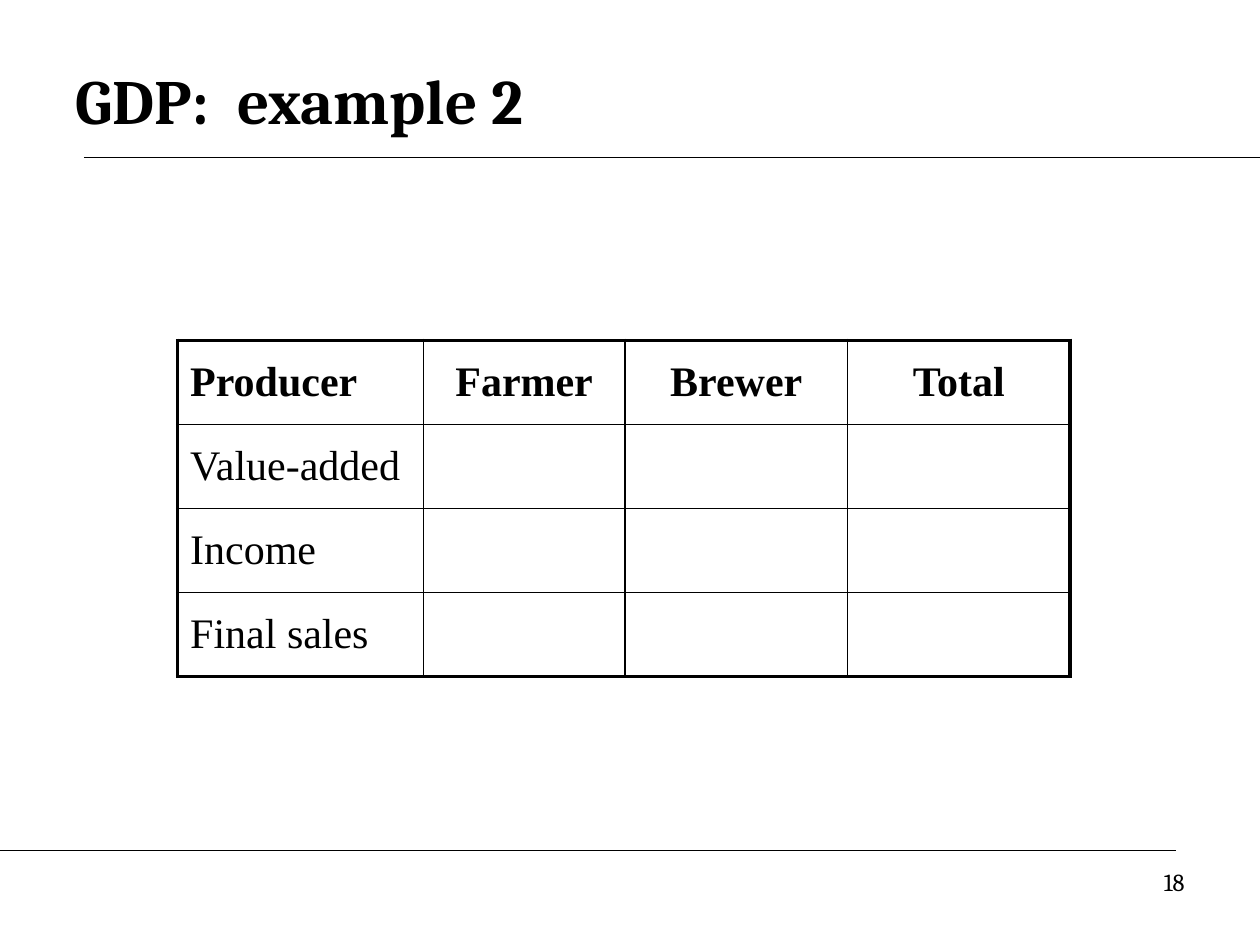
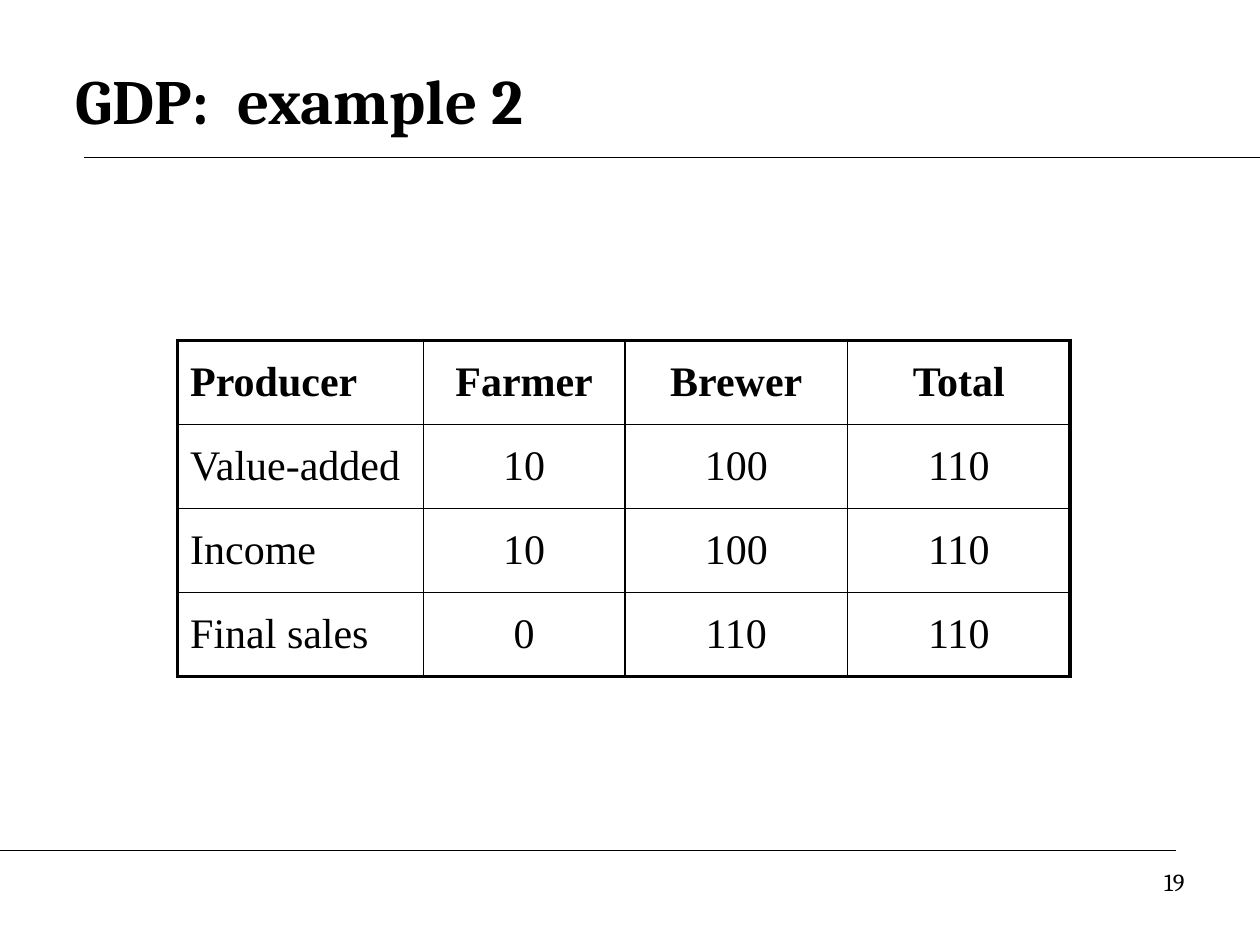
from dataclasses import dataclass

import lxml.etree
import pptx
import pptx.dml.color
import pptx.enum.shapes
import pptx.enum.text
import pptx.oxml.ns
import pptx.util

Pt = pptx.util.Pt
Align = pptx.enum.text.PP_ALIGN
Anchor = pptx.enum.text.MSO_ANCHOR
qn = pptx.oxml.ns.qn


@dataclass(frozen=True)
class Theme:
    ink: str = "000000"
    paper: str = "FFFFFF"
    heading_font: str = "Cambria"
    table_font: str = "Times New Roman"
    title_size: float = 36
    table_size: float = 24
    number_size: float = 14
    rule_width: float = 0.75
    inner_border: float = 1
    outer_border: float = 2.25


SLIDE_WIDTH, SLIDE_HEIGHT = 720, 540
RULE_MARGIN = 48
COLUMN_WIDTHS = [140.4, 115.2, 127.2, 127.2]
ROW_HEIGHT = 48
HEADER = ["Producer", "Farmer", "Brewer", "Total"]
MEASURES = ["Value-added", "Income", "Final sales"]
BLANK_VALUES = [[""] * 3] * 3
ANSWERS = [["10", "100", "110"], ["10", "100", "110"], ["0", "110", "110"]]


class Deck:
    def __init__(self, theme):
        self.theme = theme
        self.presentation = pptx.Presentation()
        self.presentation.slide_width = Pt(SLIDE_WIDTH)
        self.presentation.slide_height = Pt(SLIDE_HEIGHT)
        self.slide = None

    def color(self, value):
        return pptx.dml.color.RGBColor.from_string(value)

    def add_slide(self, title, number):
        layout = self.presentation.slide_layouts.get_by_name("Title Only")
        self.slide = self.presentation.slides.add_slide(layout)
        fill = self.slide.background.fill
        fill.solid()
        fill.fore_color.rgb = self.color(self.theme.paper)
        # Rules run off opposite edges of the slide
        self.rule(RULE_MARGIN, SLIDE_WIDTH, 90)
        self.rule(0, SLIDE_WIDTH - RULE_MARGIN, 486)
        self.title(title)
        self.page_number(number)

    def add_text(self, paragraph, text, font, size, align=Align.LEFT, bold=False):
        paragraph.alignment = align
        run = paragraph.add_run()
        run.text = text
        run.font.name = font
        run.font.size = Pt(size)
        run.font.bold = bold
        run.font.color.rgb = self.color(self.theme.ink)

    def rule(self, left, right, y):
        line = self.slide.shapes.add_connector(
            pptx.enum.shapes.MSO_CONNECTOR.STRAIGHT, Pt(left), Pt(y), Pt(right), Pt(y))
        line.line.color.rgb = self.color(self.theme.ink)
        line.line.width = Pt(self.theme.rule_width)
        lxml.etree.SubElement(line._element.spPr, qn("a:effectLst"))

    def title(self, text):
        shape = self.slide.shapes.title
        shape.left, shape.top, shape.width, shape.height = Pt(36), Pt(24), Pt(648), Pt(66)
        frame = shape.text_frame
        frame.auto_size = pptx.enum.text.MSO_AUTO_SIZE.NONE
        frame.vertical_anchor = Anchor.MIDDLE
        self.add_text(frame.paragraphs[0], text, self.theme.heading_font,
                      self.theme.title_size, bold=True)

    def page_number(self, number):
        box = self.slide.shapes.add_textbox(Pt(516), Pt(492), Pt(168), Pt(37.5))
        box.text_frame.word_wrap = True
        self.add_text(box.text_frame.paragraphs[0], str(number), self.theme.heading_font,
                      self.theme.number_size, Align.RIGHT)

    def borders(self, cell, widths):
        properties = cell._tc.get_or_add_tcPr()
        for index, (side, width) in enumerate(widths.items()):
            line = lxml.etree.Element(qn(f"a:ln{side}"), w=str(int(Pt(width))))
            fill = lxml.etree.SubElement(line, qn("a:solidFill"))
            lxml.etree.SubElement(fill, qn("a:srgbClr"), val=self.theme.ink)
            properties.insert(index, line)

    def table(self, rows, left, top):
        row_count, column_count = len(rows), len(COLUMN_WIDTHS)
        table = self.slide.shapes.add_table(
            row_count, column_count, Pt(left), Pt(top),
            Pt(sum(COLUMN_WIDTHS)), Pt(ROW_HEIGHT * row_count)).table
        table.first_row = table.horz_banding = False
        for column, width in zip(table.columns, COLUMN_WIDTHS):
            column.width = Pt(width)
        for r, row in enumerate(rows):
            table.rows[r].height = Pt(ROW_HEIGHT)
            for c, text in enumerate(row):
                cell = table.cell(r, c)
                cell.fill.background()
                cell.vertical_anchor = Anchor.MIDDLE
                # Heavy frame outside, thin grid inside
                on_frame = {"L": c == 0, "R": c == column_count - 1,
                            "T": r == 0, "B": r == row_count - 1}
                self.borders(cell, {
                    side: self.theme.outer_border if outer else self.theme.inner_border
                    for side, outer in on_frame.items()})
                if text:
                    self.add_text(cell.text_frame.paragraphs[0], text,
                                  self.theme.table_font, self.theme.table_size,
                                  Align.CENTER if c else Align.LEFT, bold=r == 0)


def main():
    deck = Deck(Theme())
    # The question first, then the same table with its answers
    for number, values in enumerate([BLANK_VALUES, ANSWERS], start=18):
        deck.add_slide("GDP:  example 2", number)
        rows = [HEADER] + [[measure] + row for measure, row in zip(MEASURES, values)]
        deck.table(rows, 101.5, 194.5)
    deck.presentation.save("out.pptx")


if __name__ == "__main__":
    main()
